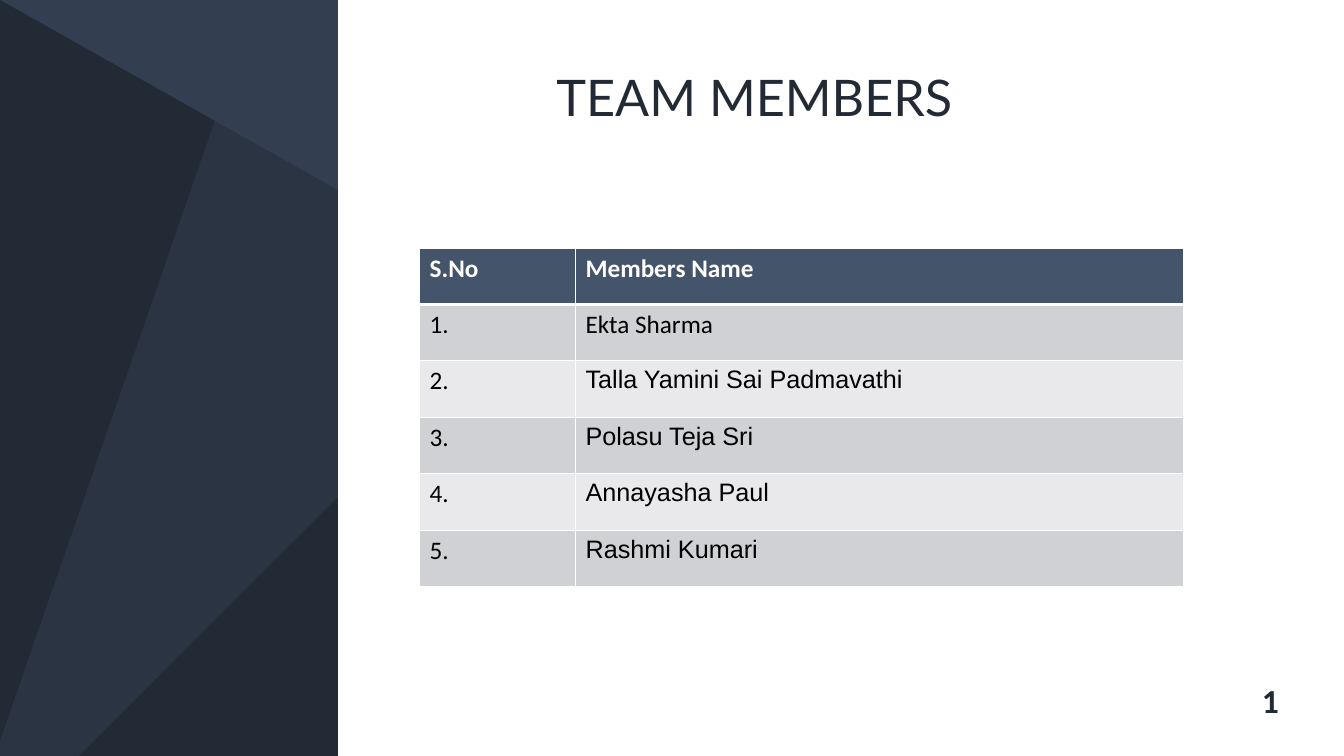
"""Build a team members slide with a faceted side panel and a table of names."""
from lxml.etree import SubElement
from pptx import Presentation
from pptx.dml.color import RGBColor
from pptx.enum.shapes import MSO_SHAPE
from pptx.enum.text import MSO_ANCHOR, PP_ALIGN
from pptx.oxml.ns import qn
from pptx.util import Inches, Pt

THEME = {
    "slate": "333F50", "night": "222A35", "white": "FFFFFF",
    "header": "44546A", "bands": ("CFD1D4", "E9E9EB"), "ink": "000000",
    "title_size": 36, "number_size": 24, "table_size": 18,
    "title_font": "Lato", "main_font": "Calibri", "name_font": "Arial",
}
members = [
    ("Ekta Sharma", THEME["main_font"]),
    ("Talla Yamini Sai Padmavathi", THEME["name_font"]),
    ("Polasu Teja Sri", THEME["name_font"]),
    ("Annayasha Paul", THEME["name_font"]),
    ("Rashmi Kumari", THEME["name_font"]),
]

deck = Presentation()
deck.slide_width, deck.slide_height = Inches(13.33), Inches(7.5)
column, row = deck.slide_width / 100, deck.slide_height / 100


def grid(*lengths):
    """Turn alternating column and row counts into slide lengths."""
    return [round(length * (row if i % 2 else column)) for i, length in enumerate(lengths)]


def write(frame, text, size, font, color, bold=False):
    """Put one formatted line into a text frame."""
    line = frame.paragraphs[0].add_run()
    line.text = text
    line.font.color.rgb = RGBColor.from_string(color)
    for name, value in {"size": Pt(size), "name": font, "bold": bold}.items():
        setattr(line.font, name, value)


slide = deck.slides.add_slide(deck.slide_layouts[5])
slide.background.fill.solid()
slide.background.fill.fore_color.rgb = RGBColor.from_string(THEME["slate"])

panel_edge = 25.15
triangle = MSO_SHAPE.ISOSCELES_TRIANGLE
backdrop = [
    (triangle, 0, (0, 0, 100, 100), 0, "night", 100),
    (triangle, 1, (8.85, -15.47, 40.59, 148.27), 199.1, "slate", 50),
    (MSO_SHAPE.RECTANGLE, None, (panel_edge, 0, 100 - panel_edge, 100), 0, "white", 100),
]
for kind, apex, place, turn, shade, opacity in backdrop:
    facet = slide.shapes.add_shape(kind, *grid(*place))
    if apex is not None:
        facet.adjustments[0] = apex
    facet.rotation = turn
    facet.fill.solid()
    facet.fill.fore_color.rgb = RGBColor.from_string(THEME[shade])
    if opacity < 100:
        tint = facet._element.spPr.find(qn("a:solidFill"))[0]
        SubElement(tint, qn("a:alpha"), val=str(opacity * 1000))
    facet.line.fill.background()
    facet.shadow.inherit = False

title = slide.shapes.title
title.left, title.top, title.width, title.height = grid(40.65, 4.4, 47.4, 13.73)
slide.shapes._spTree.append(title._element)
title_format = {"vertical_anchor": MSO_ANCHOR.BOTTOM, "word_wrap": True}
title_format |= {f"margin_{side}": Inches(0.1) for side in ("left", "top", "right", "bottom")}
for name, value in title_format.items():
    setattr(title.text_frame, name, value)
write(title.text_frame, "TEAM MEMBERS", THEME["title_size"], THEME["title_font"], THEME["night"])
for name, value in {"alignment": PP_ALIGN.LEFT, "line_spacing": 0.9}.items():
    setattr(title.text_frame.paragraphs[0], name, value)

column_shares, row_share = (11.6, 45.25), 7.47
rows = [[("S.No", THEME["main_font"]), ("Members Name", THEME["main_font"])]]
rows += [[(f"{i}.", THEME["main_font"]), member] for i, member in enumerate(members, 1)]
roster = slide.shapes.add_table(
    len(rows), 2, *grid(31.22, 32.8, sum(column_shares), row_share * len(rows))).table
for roster_column, share in zip(roster.columns, column_shares):
    roster_column.width = round(share * column)
for r, entries in enumerate(rows):
    is_header = r == 0
    roster.rows[r].height = round(row_share * row)
    for c, (text, font) in enumerate(entries):
        cell = roster.cell(r, c)
        write(cell.text_frame, text, THEME["table_size"], font,
              THEME["white" if is_header else "ink"], is_header)
        borders = {"lnL": 1, "lnR": 1, "lnT": 1, "lnB": 3 if is_header else 1}
        for side, points in borders.items():
            border = SubElement(cell._tc.get_or_add_tcPr(), qn(f"a:{side}"), w=str(Pt(points)))
            SubElement(SubElement(border, qn("a:solidFill")), qn("a:srgbClr"), val=THEME["white"])
        cell.fill.solid()
        cell.fill.fore_color.rgb = RGBColor.from_string(
            THEME["header"] if is_header else THEME["bands"][(r - 1) % 2])

page_number = slide.shapes.add_textbox(*grid(93.15, 89.3, 4.2, 6.67))
page_number.text_frame.word_wrap = True
write(page_number.text_frame, "1", THEME["number_size"], THEME["main_font"], THEME["night"], True)

deck.save("out.pptx")
